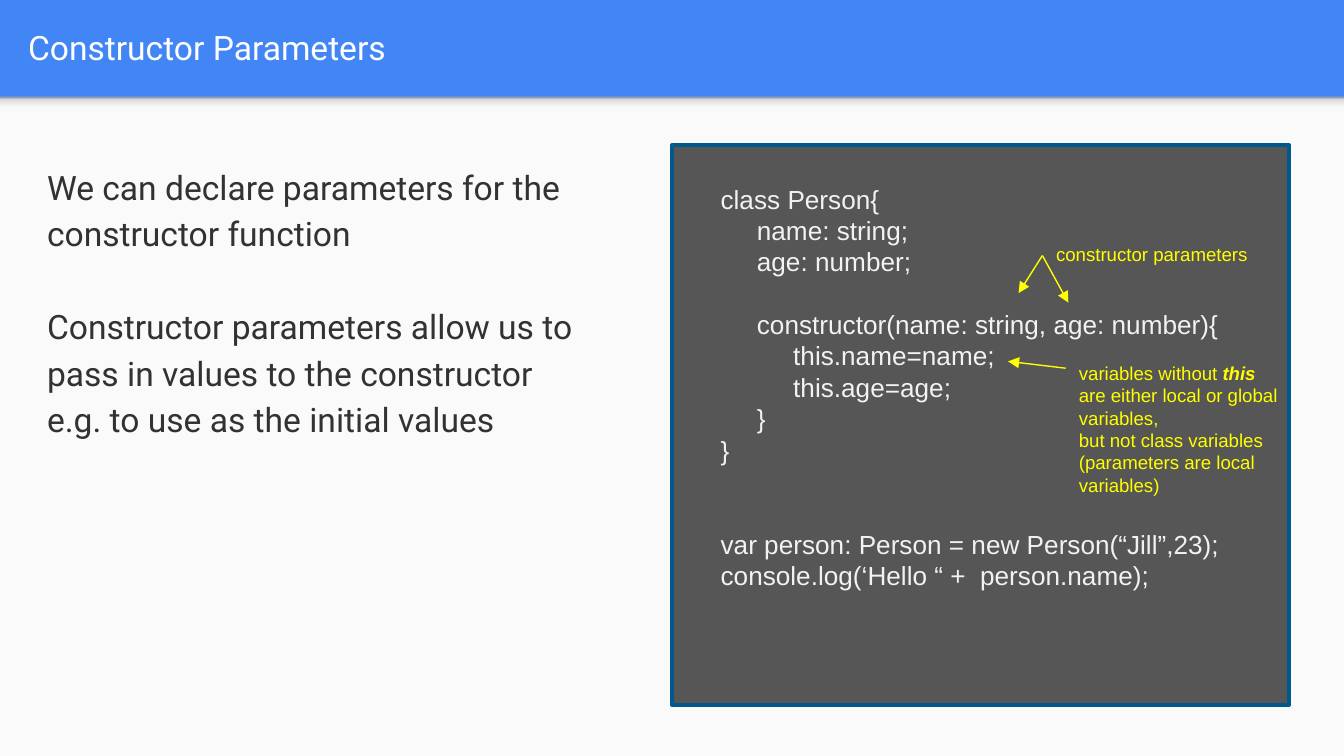
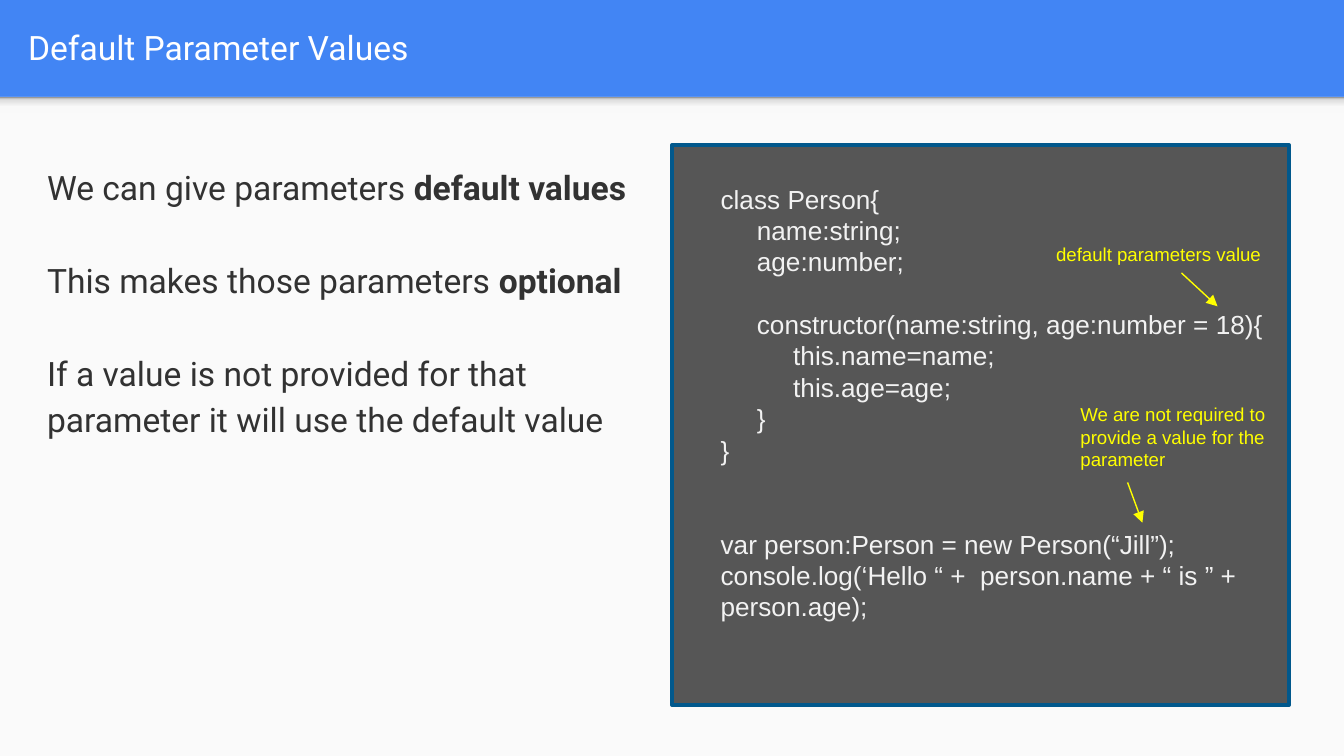
from copy import deepcopy
from pptx import Presentation
from pptx.dml.color import RGBColor
from pptx.enum.shapes import MSO_CONNECTOR, MSO_SHAPE
from pptx.enum.text import MSO_ANCHOR, MSO_AUTO_SIZE, PP_ALIGN
from pptx.oxml.ns import qn
from pptx.util import Cm, Pt
from lxml.etree import SubElement

BLUE = RGBColor(0x42, 0x85, 0xF4)
PAPER = RGBColor(0xFA, 0xFA, 0xFA)
WHITE = RGBColor(0xFF, 0xFF, 0xFF)
INK = RGBColor(0x32, 0x32, 0x32)
GREY = RGBColor(0x56, 0x56, 0x56)
EDGE = RGBColor(0x01, 0x58, 0x8C)
PALE = RGBColor(0xF2, 0xF2, 0xF2)
YELLOW = RGBColor(0xFF, 0xFF, 0x00)
FADE = [
    (0, RGBColor(0xF9, 0xF9, 0xF9)),
    (0.36, RGBColor(0xF9, 0xF9, 0xF9)),
    (0.8, RGBColor(0xDE, 0xDE, 0xDE)),
    (1, RGBColor(0x99, 0x99, 0x99)),
]

WIDE, HIGH, TOP = 25.4, 14.29, 1.83

# An empty line opens a gap; text between asterisks is emphasised.
SLIDES = [
    {
        "title": "Constructor Parameters",
        "body": [
            "We can declare parameters for the constructor function",
            "",
            "Constructor parameters allow us to pass in values to the constructor",
            "e.g. to use as the initial values",
        ],
        "code": [
            "class Person{",
            "     name: string;",
            "     age: number;",
            "",
            "     constructor(name: string, age: number){",
            "          this.name=name;",
            "          this.age=age;",
            "     }",
            "}",
            "",
            "",
            "var person: Person = new Person(“Jill”,23);",
            "console.log(‘Hello “ +  person.name);",
        ],
        "size": (10.72, 8.03),
        "notes": [
            ((19.71, 4.47, 4.65, 0.69), ["constructor parameters"]),
            ((20.14, 6.71, 4.34, 3.43), [
                "variables without *this *are either local or global variables,",
                "but not class variables (parameters are local variables)",
            ]),
        ],
        "arrows": [
            (19.7, 4.83, 19.25, 5.54),
            (20.14, 6.96, 19.05, 6.83),
            (19.7, 4.83, 20.19, 5.72),
        ],
    },
    {
        "title": "Default Parameter Values",
        "body": [
            "We can give parameters *default values*",
            "",
            "This makes those parameters *optional*",
            "",
            "If a value is not provided for that parameter it will use the default value",
        ],
        "code": [
            "class Person{",
            "     name:string;",
            "     age:number;",
            "",
            "     constructor(name:string, age:number = 18){",
            "          this.name=name;",
            "          this.age=age;",
            "     }",
            "}",
            "",
            "",
            "var person:Person = new Person(“Jill”);",
            "console.log(‘Hello “ +  person.name + “ is ” + person.age);",
        ],
        "size": (11.3, 8.64),
        "notes": [
            ((19.71, 4.47, 4.65, 0.69), ["default parameters value"]),
            ((20.17, 7.49, 4.34, 2.13), [
                "We are not required to provide a value for the parameter",
            ]),
        ],
        "arrows": [
            (21.31, 9.12, 21.59, 9.88),
            (22.33, 5.16, 23.01, 5.79),
        ],
    },
]


def style(para, face, size, color):
    font = para.font
    font.name, font.size, font.color.rgb = face, Pt(size), color


def add_rect(slide, area, color=None):
    rect = slide.shapes.add_shape(MSO_SHAPE.RECTANGLE, *map(Cm, area))
    rect.shadow.inherit = False
    rect.line.fill.background()
    if color is not None:
        rect.fill.solid()
        rect.fill.fore_color.rgb = color
    return rect


def add_text(slide, area, lines, face, size, color, pitch,
             inset=(0.25, 0.13), slant=None):
    frame = slide.shapes.add_textbox(*map(Cm, area)).text_frame
    frame.word_wrap = True
    frame.margin_left = Cm(inset[0])
    frame.margin_right = Cm(0.25)
    frame.margin_top = frame.margin_bottom = Cm(inset[1])
    para, gap = None, 0
    for line in lines:
        if not line:
            gap += 1
            continue
        para = frame.add_paragraph() if para else frame.paragraphs[0]
        style(para, face, size, color)
        para.line_spacing = Pt(pitch)
        if gap:
            para.space_before = Pt(gap * pitch)
            gap = 0
        for i, part in enumerate(line.split("*")):
            if part:
                run = para.add_run()
                run.text = part
                if i % 2:
                    run.font.bold, run.font.italic = True, slant


def add_arrow(slide, ends):
    arrow = slide.shapes.add_connector(MSO_CONNECTOR.STRAIGHT, *map(Cm, ends))
    arrow.line.color.rgb = YELLOW
    arrow.line.width = Pt(0.75)
    SubElement(arrow.line._get_or_add_ln(), qn("a:tailEnd"), type="triangle")
    SubElement(arrow._element.spPr, qn("a:effectLst"))


def add_frame(slide, text):
    add_rect(slide, (0, TOP, WIDE, HIGH - TOP), PAPER)
    strip = add_rect(slide, (0, TOP, WIDE, 0.3))
    strip.fill.gradient()
    strip.fill.gradient_angle = 90
    stops = strip._element.spPr.find(".//" + qn("a:gsLst"))
    for _ in FADE[2:]:
        stops.append(deepcopy(stops[0]))
    for stop, (place, color) in zip(strip.fill.gradient_stops, FADE):
        stop.position, stop.color.rgb = place, color

    title = slide.shapes.title
    title.left, title.top, title.width, title.height = map(
        Cm, (0.28, 0.05, 24.51, 1.68))
    frame = title.text_frame
    frame.text = text
    frame.auto_size = MSO_AUTO_SIZE.NONE
    frame.vertical_anchor = MSO_ANCHOR.MIDDLE
    frame.margin_left = frame.margin_right = Cm(0.25)
    frame.margin_top = frame.margin_bottom = Cm(0.25)
    para = frame.paragraphs[0]
    para.alignment = PP_ALIGN.LEFT
    style(para, "Roboto", 18, WHITE)


def add_page(deck, page):
    slide = deck.slides.add_slide(deck.slide_layouts[5])
    add_frame(slide, page["title"])
    add_text(slide, (0.33, 2.79, 11.79, 10.31), page["body"],
             "Roboto", 18, INK, 24.9, (0.56, 0.25))
    panel = add_rect(slide, (12.7, 2.74, 11.66, 10.59), GREY)
    panel.line.color.rgb = EDGE
    panel.line.width = Pt(2)
    add_text(slide, (13.06, 3.33, *page["size"]), page["code"],
             "Arial", 14, PALE, 16.8, (0.56, 0.13))
    for area, lines in page["notes"]:
        add_text(slide, area, lines, "Arial", 10, YELLOW, 12, slant=True)
    for ends in page["arrows"]:
        add_arrow(slide, ends)


def main():
    deck = Presentation()
    deck.slide_width, deck.slide_height = Cm(WIDE), Cm(HIGH)
    fill = deck.slide_master.background.fill
    fill.solid()
    fill.fore_color.rgb = BLUE
    for page in SLIDES:
        add_page(deck, page)
    deck.save("out.pptx")


if __name__ == "__main__":
    main()
